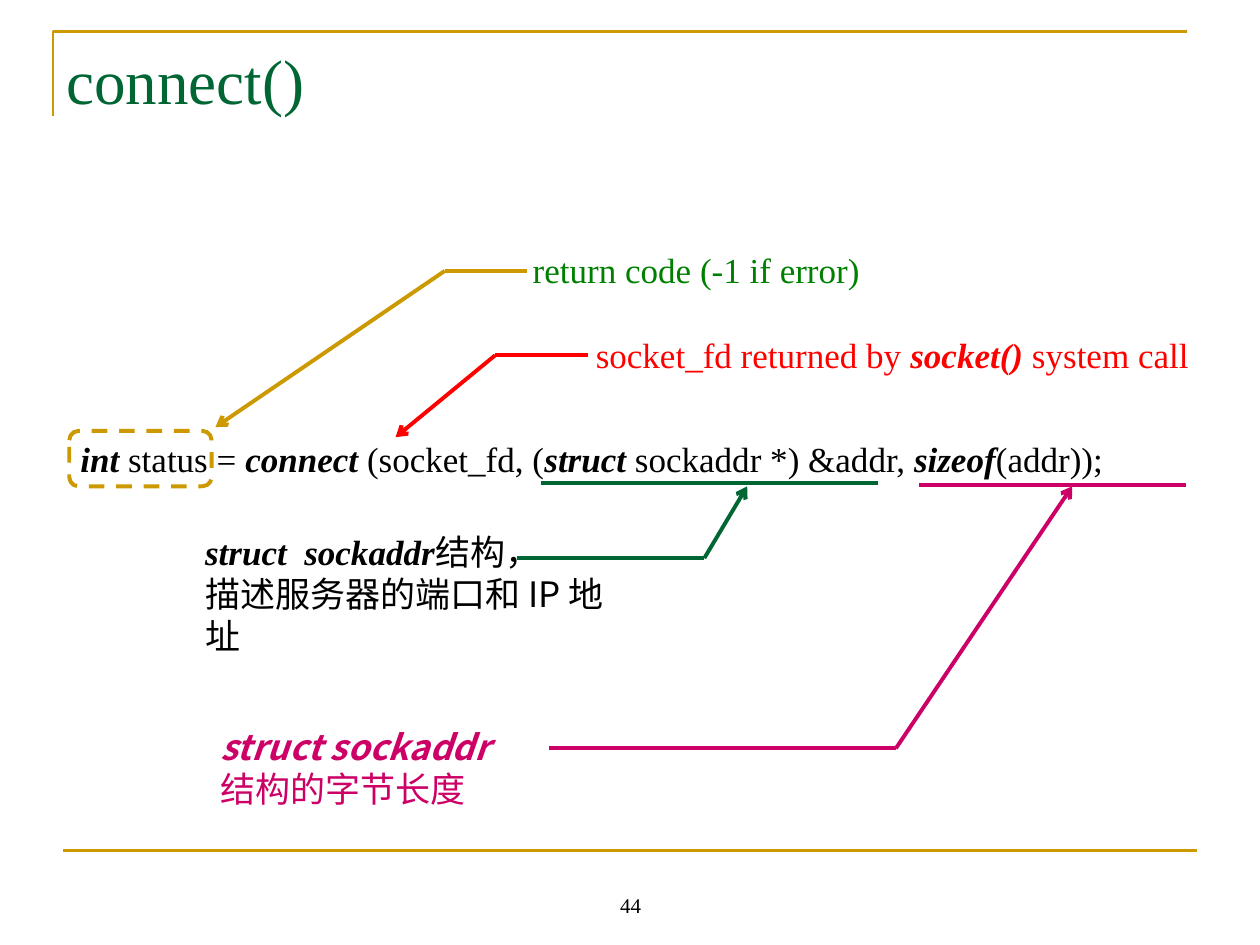
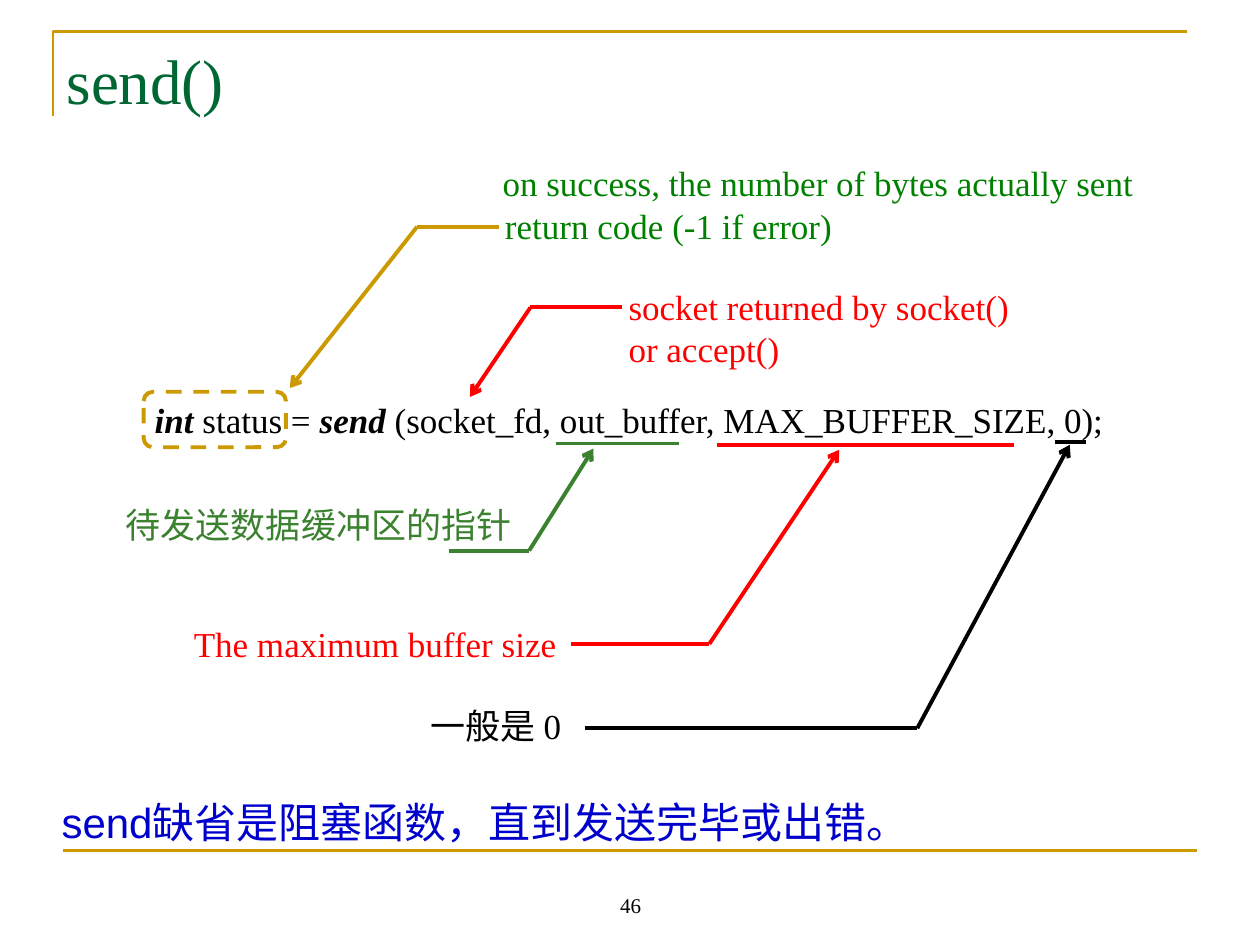
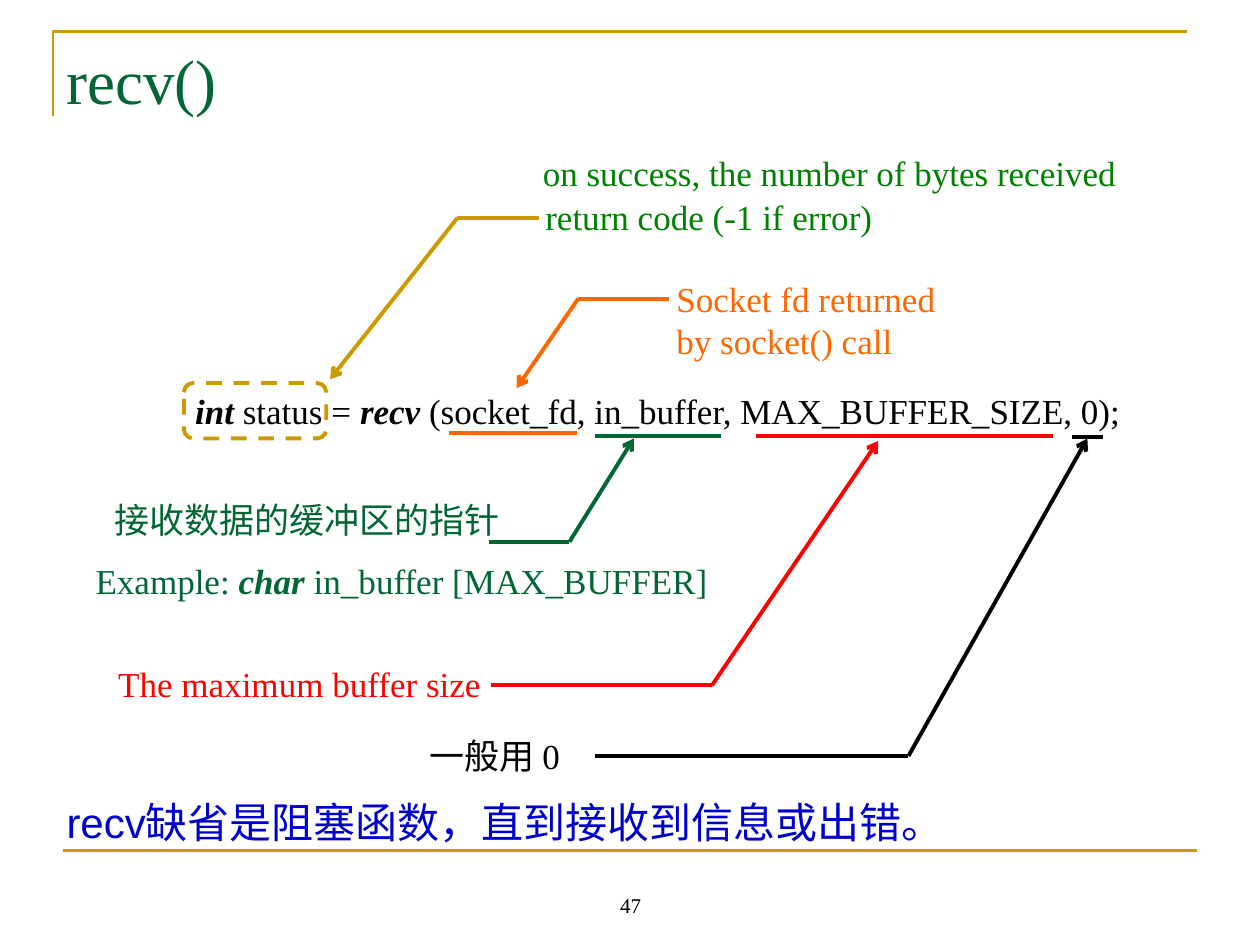
from itertools import cycle
from lxml import etree
from pptx import Presentation, util as u
from pptx.dml.color import RGBColor
from pptx.enum import dml, shapes, text
from pptx.oxml.ns import qn

deck = Presentation()
deck.slide_width, deck.slide_height = u.Inches(10), u.Inches(7.5)
col, row = deck.slide_width // 100, deck.slide_height // 75
hue = RGBColor.from_string

GOLD, PINE, LEAF, MOSS = "CC9900", "006633", "008000", "3B812F"
RED, ROSE, FLAME, BLUE, INK = "FF0000", "CC0066", "FF6600", "0000CC", "000000"
SERIF, HAN, SANS = "Times New Roman", "Noto Sans CJK SC", "Arial"
SLACK = 0.5


def write(page, x, y, w, h, tint, words, faces=(SERIF,), size=20, wrap=False, mid=False):
    span = w if wrap else w + SLACK
    box = page.shapes.add_textbox(round(x * col), round(y * row), round(span * col), round(h * row))
    form = {
        "word_wrap": wrap,
        "auto_size": text.MSO_AUTO_SIZE.NONE if mid else text.MSO_AUTO_SIZE.SHAPE_TO_FIT_TEXT,
        "vertical_anchor": text.MSO_ANCHOR.BOTTOM if mid else text.MSO_ANCHOR.TOP,
    }
    for key, val in form.items():
        setattr(box.text_frame, key, val)
    for n, (line, face) in enumerate(zip(words.split("\n"), cycle(faces))):
        para = box.text_frame.add_paragraph() if n else box.text_frame.paragraphs[0]
        para.alignment = text.PP_ALIGN.CENTER if mid else text.PP_ALIGN.LEFT
        for k, part in enumerate(line.split("|")):
            if part:
                run = para.add_run()
                run.text = part
                strong = k % 2 == 1
                form = {"name": face, "size": u.Pt(size), "bold": strong, "italic": strong}
                for key, val in form.items():
                    setattr(run.font, key, val)
                run.font.color.rgb = hue(tint)
                east = etree.SubElement(run.font._element, qn("a:ea"))
                east.set("typeface", HAN)


def draw(page, tint, *spots, width=2.25, arrow=False):
    for n, (a, b) in enumerate(zip(spots, spots[1:])):
        ends = [round(v) for x, y in (a, b) for v in (x * col, y * row)]
        line = page.shapes.add_connector(shapes.MSO_CONNECTOR.STRAIGHT, *ends)
        line.line.color.rgb, line.line.width = hue(tint), u.Pt(width)
        if arrow and n == len(spots) - 2:
            etree.SubElement(line.line._get_or_add_ln(), qn("a:tailEnd")).set("type", "arrow")
        etree.SubElement(line._element.spPr, qn("a:effectLst"))


pages = [
    {
        "name": "connect", "num": "44", "call": (5.4, 34.2, 83.2), "back": (41.3, 19.2),
        "args": "(socket_fd, (|struct| sockaddr *) &addr, |sizeof|(addr));",
        "notes": [
            (15.3, 41.6, 33.7, 3, INK, "|struct  sockaddr|结构，\n描述服务器的端口和 IP 地址", (SERIF, HAN)),
            (16.5, 57.1, 24.8, 2, ROSE, "|struct sockaddr |结构的字节长度", (HAN,)),
            (46.3, 26, 49, 1, RED, "socket_fd returned by |socket()| system call"),
        ],
        "bars": [(PINE, 42.9, 69.7, 38.3), (ROSE, 72.9, 94.1, 38.5)],
        "leads": [
            (PINE, (41, 44.3), (55.9, 44.3), (59.3, 38.6)),
            (ROSE, (43.6, 59.4), (71.1, 59.4), (85.1, 38.6)),
            (RED, (46.7, 28.2), (39.3, 28.2), (31.4, 34.7)),
        ],
    },
    {
        "name": "send", "num": "46", "call": (11.3, 31.1, 77.5), "back": (39.1, 15.7),
        "args": "(socket_fd, out_buffer, MAX_BUFFER_SIZE, 0);",
        "notes": [
            (48.9, 22.2, 32.2, 2, RED, "socket returned by socket()\nor accept()"),
            (33.2, 55.4, 13.1, 1, INK, "一般是 0"),
            (14.4, 48.9, 30.8, 1, RED, "The maximum buffer size"),
            (9, 39.5, 32.6, 1, MOSS, "待发送数据缓冲区的指针"),
            (38.9, 12.3, 52.1, 1, LEAF, "on success, the number of bytes actually sent"),
        ],
        "bars": [(INK, 83.7, 86.2, 35.1), (RED, 56.9, 80.5, 35.3), (MOSS, 44.1, 53.9, 35.2)],
        "leads": [
            (RED, (49.4, 24.4), (42.1, 24.4), (37.3, 31.5)),
            (INK, (46.4, 57.8), (72.8, 57.8), (84.9, 35.3)),
            (RED, (45.3, 51.1), (56.3, 51.1), (66.6, 35.7)),
            (MOSS, (35.6, 43.7), (42, 43.7), (47.1, 35.6)),
        ],
        "last": (3.9, 70, "send缺省是阻塞函数，直到发送完毕或出错。"),
    },
    {
        "name": "recv", "num": "47", "call": (14.5, 30.4, 75.6), "back": (42.3, 15),
        "args": "(socket_fd, in_buffer, MAX_BUFFER_SIZE, 0);",
        "notes": [
            (33.1, 57.8, 13.1, 1, INK, "一般用 0"),
            (8.4, 52.1, 30.8, 1, RED, "The maximum buffer size"),
            (8.1, 39.1, 32.6, 1, PINE, "接收数据的缓冲区的指针"),
            (6.6, 43.9, 50.6, 1, PINE, "Example: |char| in_buffer [MAX_BUFFER]"),
            (52.7, 21.5, 22.5, 2, FLAME, "Socket fd returned\nby socket() call"),
            (42.1, 11.5, 47.5, 1, LEAF, "on success, the number of bytes received"),
        ],
        "bars": [(INK, 85.1, 87.5, 34.7), (RED, 60, 83.6, 34.6),
                 (PINE, 47.2, 57.2, 34.6), (FLAME, 35.6, 45.8, 34.4)],
        "leads": [
            (INK, (47.2, 60), (72.1, 60), (86.3, 34.8)),
            (RED, (39, 54.4), (56.5, 54.4), (69.7, 35)),
            (PINE, (38.8, 43), (45.2, 43), (50.3, 34.8)),
            (FLAME, (53.1, 23.7), (45.9, 23.7), (41, 30.8)),
        ],
        "last": (4.3, 89, "recv缺省是阻塞函数，直到接收到信息或出错。"),
    },
]

for data in pages:
    page = deck.slides.add_slide(deck.slide_layouts[6])

    pen = page.shapes.build_freeform(round(4.2 * col), round(9.2 * row), scale=1)
    pen.add_line_segments(
        [(round(x * col), round(2.5 * row)) for x in (4.2, 94.2)], close=False)
    frame = pen.convert_to_shape()
    draw(page, GOLD, (5, 67.5), (95, 67.5), width=1.5)
    write(page, 34.2, 68.3, 31.7, 5, INK, data["num"], size=12, wrap=True, mid=True)
    write(page, 4.3, 2.8, 47.3, 7, PINE, data["name"] + "()", size=36, wrap=True)

    x, y, w = data["call"]
    write(page, x, y, w, 4.4, INK, f"|int| status = |{data['name']}| {data['args']}")
    ring = page.shapes.add_shape(
        shapes.MSO_SHAPE.ROUNDED_RECTANGLE,
        round((x + 0.1) * col), round(y * row), round(11.3 * col), round(4.4 * row))
    ring.line.dash_style = dml.MSO_LINE.DASH
    for form, width in ((frame, 1.5), (ring, 2.25)):
        form.shadow.inherit = False
        form.fill.background()
        form.line.color.rgb, form.line.width = hue(GOLD), u.Pt(width)

    left, top = data["back"]
    write(page, left, top, 27.9, 4.4, LEAF, "return code (-1 if error)")
    bend = top + 2.3
    draw(page, GOLD, (left + 0.5, bend), (left - 6, bend), (x + 11.7, y - 0.3), arrow=True)

    for x, y, w, rows, tint, words, *faces in data["notes"]:
        wrap = rows > words.count("\n") + 1
        write(page, x, y, w, 1.1 + 3.3 * rows, tint, words, *faces, wrap=wrap)
    for tint, start, end, y in data["bars"]:
        draw(page, tint, (start, y), (end, y))
    for tint, *spots in data["leads"]:
        draw(page, tint, *spots, arrow=True)
    if "last" in data:
        x, w, words = data["last"]
        write(page, x, 62.7, w, 5, BLUE, words, (SANS,), size=24, wrap=True)

deck.save("out.pptx")
